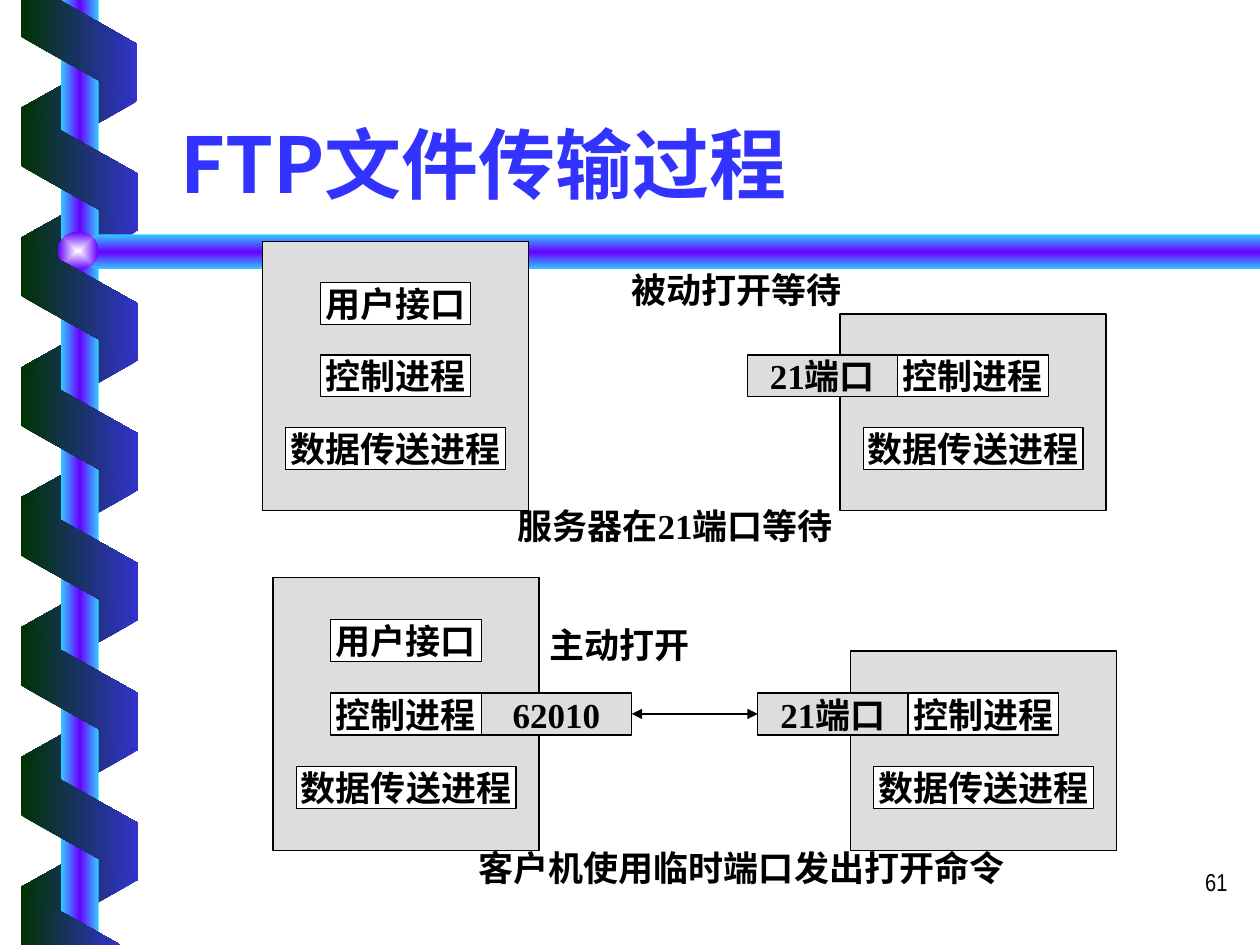
from lxml.etree import SubElement
from pptx import Presentation
from pptx.dml.color import RGBColor
from pptx.enum.shapes import MSO_CONNECTOR, MSO_SHAPE
from pptx.enum.text import MSO_ANCHOR as Anchor, PP_ALIGN as Align
from pptx.oxml import parse_xml
from pptx.oxml.ns import nsdecls, qn
from pptx.util import Pt

BLACK = RGBColor(0x00, 0x00, 0x00)
WHITE = RGBColor(0xFF, 0xFF, 0xFF)
GRAY = RGBColor(0xDD, 0xDD, 0xDD)
TITLE_BLUE = RGBColor(0x33, 0x33, 0xFF)
RIBBON_BLUE = RGBColor(0x33, 0x33, 0xCC)
DARK_GREEN = RGBColor(0x00, 0x33, 0x00)
CYAN = RGBColor(0x33, 0xCC, 0xFF)
VIOLET = RGBColor(0x66, 0x00, 0xFF)
PEARL = RGBColor(0xFE, 0xFF, 0xFF)
CJK_FONT = "Noto Sans CJK SC"


def paint_gradient(shape, colors, angle=None):
    """Fill with evenly spaced colours, from the centre outwards if no angle is given."""
    stops = "".join(
        f'<a:gs pos="{100000 * i // (len(colors) - 1)}"><a:srgbClr val="{color}"/></a:gs>'
        for i, color in enumerate(colors))
    if angle is None:
        direction = ('<a:path path="rect"><a:fillToRect l="50000" t="50000" '
                     'r="50000" b="50000"/></a:path>')
    else:
        direction = f'<a:lin ang="{angle * 60000}" scaled="0"/>'
    shape.shadow.inherit = False
    shape.line.fill.background()
    shape.fill.background()
    no_fill = shape._element.spPr.find(qn("a:noFill"))
    no_fill.getparent().replace(no_fill, parse_xml(
        f'<a:gradFill {nsdecls("a")} rotWithShape="0">'
        f'<a:gsLst>{stops}</a:gsLst>{direction}</a:gradFill>'))


def write_text(shape, text, size=20, font="Times New Roman", color=BLACK, bold=True,
               align=Align.CENTER, anchor=Anchor.TOP, wrap=True):
    frame = shape.text_frame
    frame.word_wrap = wrap
    frame.vertical_anchor = anchor
    paragraph = frame.paragraphs[0]
    paragraph.alignment = align
    run = paragraph.add_run()
    run.text = text
    run.font.size = Pt(size)
    run.font.bold = bold
    run.font.name = font
    run.font.color.rgb = color
    SubElement(run._r.get_or_add_rPr(), qn("a:ea")).set("typeface", CJK_FONT)


presentation = Presentation()
presentation.slide_width, presentation.slide_height = Pt(720), Pt(540)
slide = presentation.slides.add_slide(presentation.slide_layouts[6])
shapes = slide.shapes

# Back half of the spiral
RIBBON_PITCH = 74.2
for i in range(7):
    ribbon = shapes.add_shape(MSO_SHAPE.PARALLELOGRAM, Pt(10.1), Pt(26.5 + i * RIBBON_PITCH),
                              Pt(70.5), Pt(66.4))
    ribbon.adjustments[0] = 0.56
    ribbon.rotation = 90
    ribbon._element.spPr.find(qn("a:xfrm")).set("flipH", "1")
    paint_gradient(ribbon, [RIBBON_BLUE, DARK_GREEN], 0)

# Pole, crossbar and ball
pole = shapes.add_shape(MSO_SHAPE.RECTANGLE, Pt(34.8), Pt(0), Pt(21.6), Pt(540))
paint_gradient(pole, [CYAN, VIOLET, CYAN], 0)
builder = shapes.build_freeform(720, 134.2, scale=Pt(1))
builder.add_line_segments([(54.7, 134.2), (43.2, 144), (54.7, 154.2), (720, 154.2)])
paint_gradient(builder.convert_to_shape(), [CYAN, VIOLET, CYAN], 90)
ball = shapes.add_shape(MSO_SHAPE.OVAL, Pt(33.1), Pt(132.5), Pt(23), Pt(21.6))
paint_gradient(ball, [PEARL, VIOLET])

# Front half of the spiral, cut off at the slide's top and bottom
for i in range(6):
    ribbon = shapes.add_shape(MSO_SHAPE.PARALLELOGRAM, Pt(10.1), Pt(63.5 + i * RIBBON_PITCH),
                              Pt(70.5), Pt(67))
    ribbon.adjustments[0] = 0.56
    ribbon.rotation = 270
    paint_gradient(ribbon, [DARK_GREEN, RIBBON_BLUE], 0)
for start, *points in (
    [(12.2, 0), (12.2, 21), (78.5, 58.2), (78.5, 25), (33.8, 0)],
    [(68.9, 539.6), (12, 507.5), (12, 540)],
):
    builder = shapes.build_freeform(*start, scale=Pt(1))
    builder.add_line_segments(points)
    paint_gradient(builder.convert_to_shape(), [DARK_GREEN, RIBBON_BLUE], 0)

page_number = shapes.add_textbox(Pt(558.7), Pt(491.8), Pt(149.8), Pt(36))
write_text(page_number, "61", size=14, font="Arial Narrow", bold=False, align=Align.RIGHT)
title = shapes.add_textbox(Pt(95.8), Pt(33.1), Pt(612), Pt(90))
write_text(title, "FTP文件传输过程", size=44, font=CJK_FONT, color=TITLE_BLUE,
           align=Align.LEFT, anchor=Anchor.BOTTOM)

# Each scene has a client panel and a server panel holding rows of boxes
PANEL_WIDTH, SERVER_SHIFT = 152, 330
BOX_WIDTH, WIDE_WIDTH, BOX_HEIGHT = 86, 125.5, 24
BOX_INSET, WIDE_INSET = 33, 13.3
client_boxes = [("用户接口", BOX_INSET, 0, BOX_WIDTH, WHITE),
                ("控制进程", BOX_INSET, 1, BOX_WIDTH, WHITE),
                ("数据传送进程", WIDE_INSET, 2, WIDE_WIDTH, WHITE)]
server_boxes = [(text, inset + SERVER_SHIFT, *rest) for text, inset, *rest in client_boxes[1:]]
server_boxes.append(("21端口", SERVER_SHIFT + BOX_INSET - BOX_WIDTH, 1, BOX_WIDTH, GRAY))
client_port = ("62010", BOX_INSET + BOX_WIDTH, 1, BOX_WIDTH, GRAY)

for left, client_top, server_top, bottom, first_row, pitch, extra in (
    (150, 138, 179.5, 291.7, 161.3, 41.5, []),
    (156, 330, 372, 486, 354, 42, [client_port]),
):
    boxes = [("", 0, client_top, PANEL_WIDTH, bottom - client_top, GRAY),
             ("", SERVER_SHIFT, server_top, PANEL_WIDTH, bottom - server_top, GRAY)]
    boxes += [(text, shift, first_row + row * pitch, width, BOX_HEIGHT, fill)
              for text, shift, row, width, fill in client_boxes + server_boxes + extra]
    for text, shift, top, width, height, fill in boxes:
        box = shapes.add_shape(MSO_SHAPE.RECTANGLE, Pt(left + shift), Pt(top),
                               Pt(width), Pt(height))
        box.shadow.inherit = False
        box.fill.solid()
        box.fill.fore_color.rgb = fill
        box.line.color.rgb = BLACK
        box.line.width = Pt(0.75)
        if text:
            write_text(box, text, anchor=Anchor.MIDDLE, wrap=False)

for text, left, top, width, align in (
    ("被动打开等待", 334.8, 149.8, 172, Align.CENTER),
    ("服务器在21端口等待", 288.5, 284.6, 217.5, Align.LEFT),
    ("主动打开", 294.5, 352.6, 119, Align.CENTER),
    ("客户机使用临时端口发出打开命令", 229, 480, 389.5, Align.CENTER),
):
    caption = shapes.add_textbox(Pt(left), Pt(top), Pt(width), Pt(31.7))
    write_text(caption, text, align=align)

arrow = shapes.add_connector(MSO_CONNECTOR.STRAIGHT, Pt(361), Pt(408), Pt(433), Pt(408))
arrow.line.color.rgb = BLACK
arrow.line.width = Pt(0.75)
for end in ("a:headEnd", "a:tailEnd"):
    SubElement(arrow.line._get_or_add_ln(), qn(end)).set("type", "triangle")
SubElement(arrow._element.spPr, qn("a:effectLst"))

presentation.save("out.pptx")
